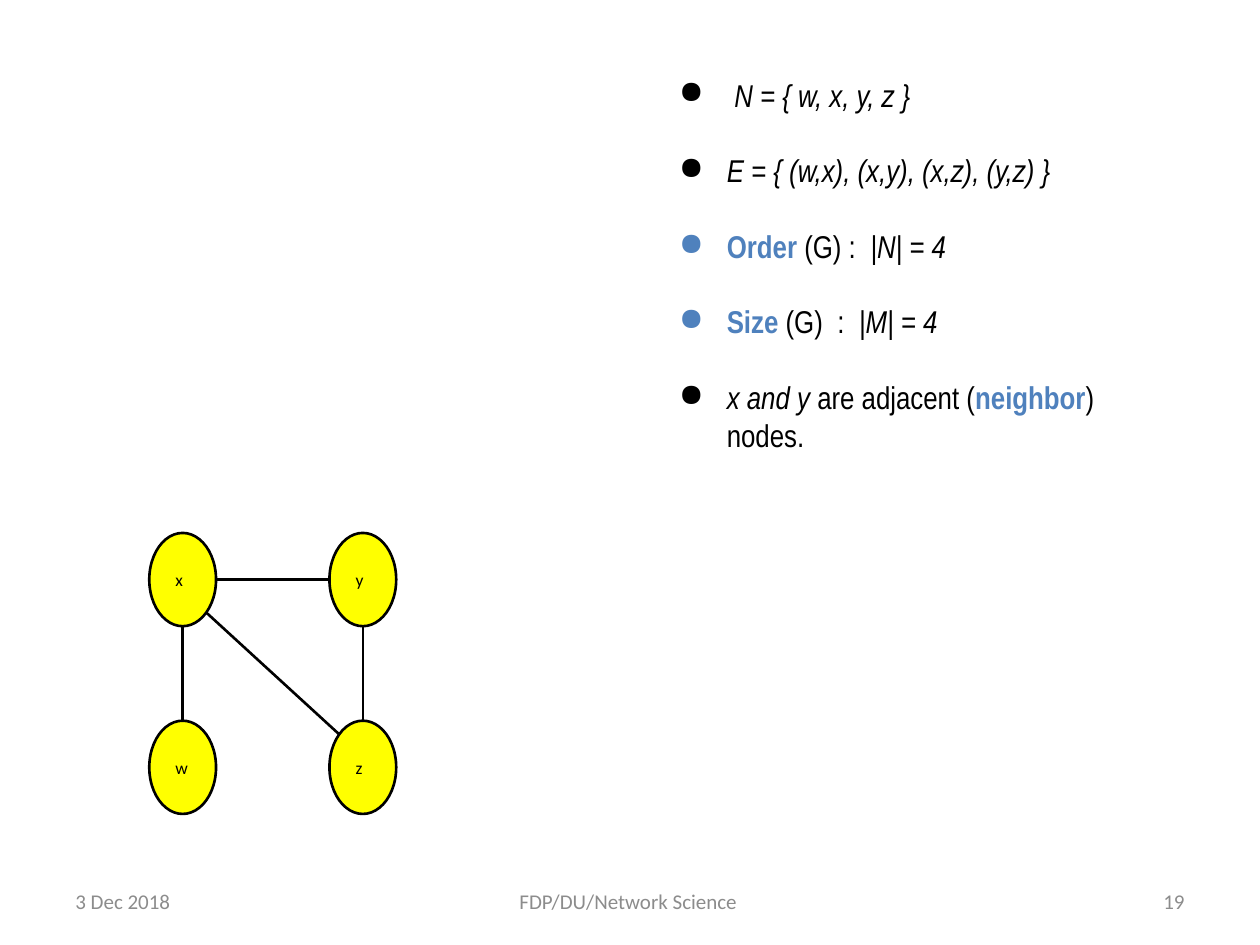
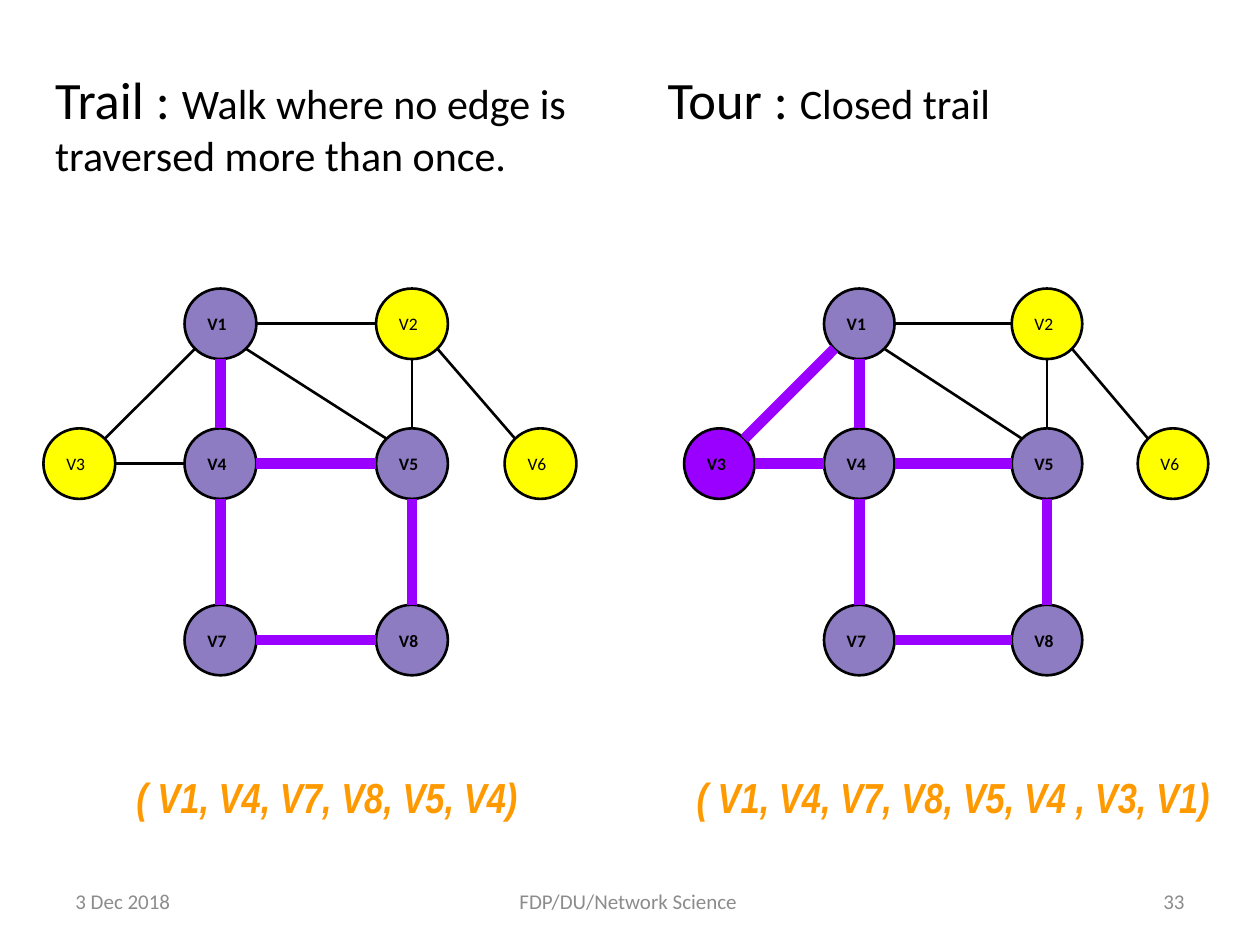
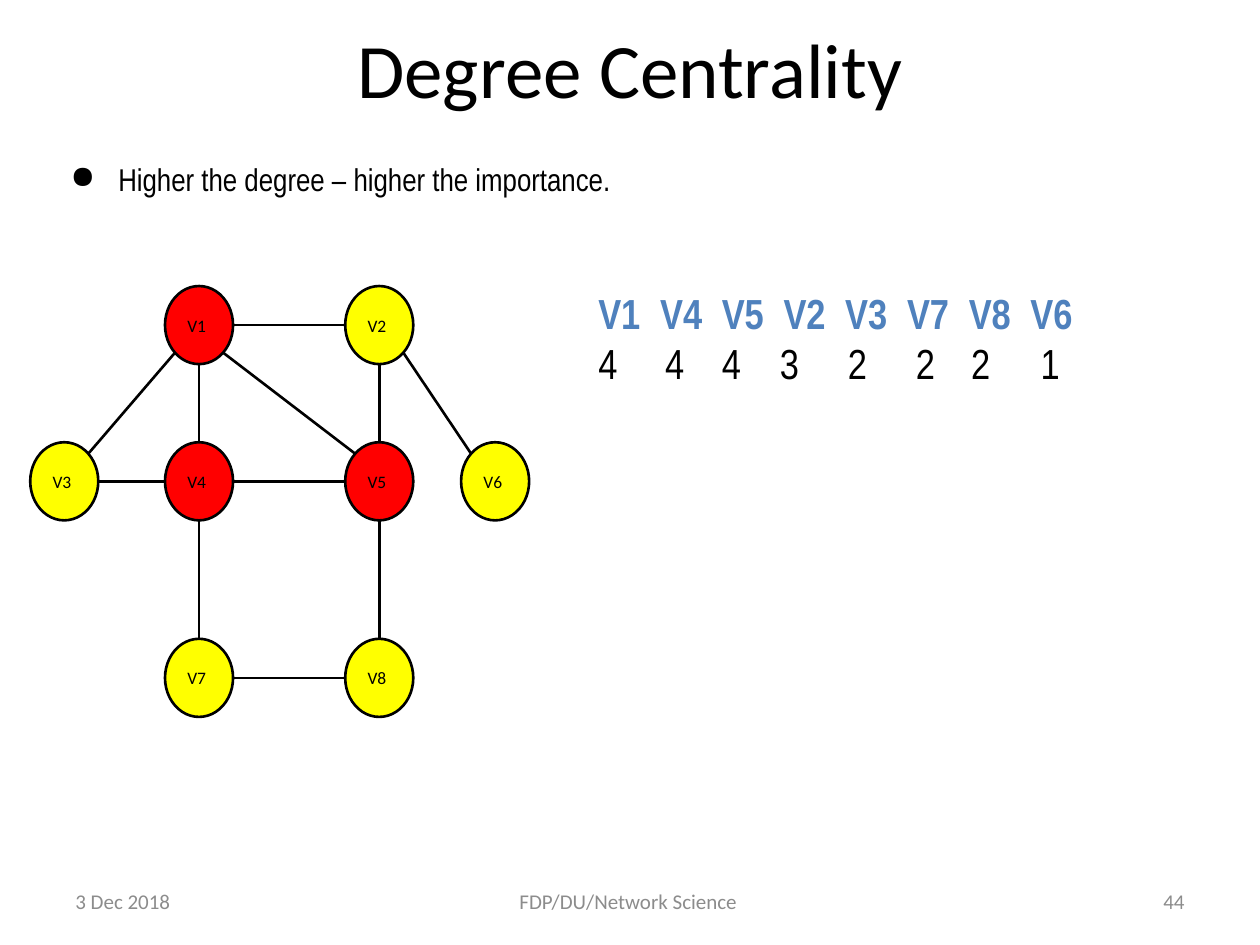
import math
import pptx
import pptx.dml.color
import pptx.enum.shapes
import pptx.enum.text
import pptx.oxml.ns
import pptx.util
from lxml import etree

Inches = pptx.util.Inches
WIDTH, HEIGHT = 10, 7.5
INSET = 0.1
COLORS = {"ink": "000000", "muted": "8C8C8C", "accent": "4F81BD", "answer": "FF9900",
          "plain": "FFFF00", "visited": "8E7CC3", "path": "9900FF", "top": "FF0000"}
ALIGN = {"left": pptx.enum.text.PP_ALIGN.LEFT, "center": pptx.enum.text.PP_ALIGN.CENTER,
         "right": pptx.enum.text.PP_ALIGN.RIGHT}

# Text styles: colour name plus font attributes
BODY = {"name": "Arial Narrow", "size": 18, "color": "ink"}
MATH = BODY | {"italic": True}
KEY = BODY | {"bold": True, "color": "accent"}
TITLE = {"name": "Calibri", "size": 44, "color": "ink"}
TERM = TITLE | {"size": 30}
MEANING = TITLE | {"size": 24}
LABEL = TITLE | {"size": 10}
FOOTER = TITLE | {"size": 12, "color": "muted"}
ANSWER = BODY | {"size": 24, "color": "answer", "bold": True, "italic": True}
RANKED = KEY | {"size": 24}
DEGREE = BODY | {"size": 24}

# Content
FACTS = [
    [("N = { w, x, y, z }", MATH)],
    [("E = { (w,x), (x,y), (x,z), (y,z) }", MATH)],
    [("Order ", KEY), ("(G) :  ", BODY), ("|N| = 4", MATH)],
    [("Size ", KEY), ("(G)  :  ", BODY), ("|M| = 4", MATH)],
    [("x and y ", MATH), ("are adjacent (", BODY), ("neighbor", KEY), (") nodes.", BODY)],
]
SMALL_NODES = {"x": (0, 0), "y": (1, 0), "w": (0, 1), "z": (1, 1)}
SMALL_EDGES = ["x y", "x w", "y z", "x z"]
NODES = {"V1": (1, 0), "V2": (2, 0), "V3": (0, 1), "V4": (1, 1), "V5": (2, 1),
         "V6": (3, 1), "V7": (1, 2), "V8": (2, 2)}
EDGES = ["V1 V2", "V1 V3", "V1 V4", "V1 V5", "V2 V5", "V2 V6", "V3 V4", "V4 V5",
         "V4 V7", "V5 V8", "V7 V8"]
WALKS = [
    {"term": "Trail : ", "meaning": "Walk where no edge is traversed more than once.",
     "answer": "( V1, V4, V7, V8, V5, V4)", "route": "V1 V4 V7 V8 V5 V4",
     "head_at": (0.34, 0.43, 4.56, 1.03), "answer_left": 0.35,
     "columns": (0.63, 1.75, 3.27, 4.29), "node_size": (0.57, 0.56)},
    {"term": "Tour : ", "meaning": "Closed trail",
     "answer": "( V1, V4, V7, V8, V5, V4 , V3, V1)", "route": "V1 V4 V7 V8 V5 V4 V3 V1",
     "head_at": (5.2, 0.43, 4.4, 1.25), "answer_left": 5.32,
     "columns": (5.71, 6.82, 8.31, 9.31), "node_size": (0.56, 0.56)},
]
DEGREES = {"V1": 4, "V4": 4, "V5": 4, "V2": 3, "V3": 2, "V7": 2, "V8": 2, "V6": 1}
NAME_STOPS = [0.49 * i for i in range(1, len(DEGREES))]
DEGREE_STOPS = (0.53, 0.98, 1.44, 1.98, 2.52, 2.96, 3.51)


def rgb(color):
    return pptx.dml.color.RGBColor.from_string(COLORS[color])


def add_runs(paragraph, runs):
    for words, style in runs:
        run = paragraph.add_run()
        run.text = words
        for attribute, value in style.items():
            if attribute == "color":
                run.font.color.rgb = rgb(value)
            else:
                setattr(run.font, attribute, pptx.util.Pt(value) if attribute == "size" else value)


def add_text(slide, at, paragraphs, align="left", anchor="TOP", inset_y=INSET):
    frame = slide.shapes.add_textbox(*map(Inches, at)).text_frame
    settings = {"word_wrap": True, "margin_left": Inches(INSET), "margin_right": Inches(INSET),
                "margin_top": Inches(inset_y), "margin_bottom": Inches(inset_y),
                "vertical_anchor": pptx.enum.text.MSO_ANCHOR[anchor]}
    for attribute, value in settings.items():
        setattr(frame, attribute, value)
    for i, runs in enumerate(paragraphs):
        paragraph = frame.add_paragraph() if i else frame.paragraphs[0]
        paragraph.alignment = ALIGN[align]
        add_runs(paragraph, runs)
    return frame


def add_bullets(slide, at, items, first_margin=0.5):
    frame = add_text(slide, at, items)
    for i, paragraph in enumerate(frame.paragraphs):
        margin = 0.5 if i else first_margin
        properties = paragraph._p.get_or_add_pPr()
        properties.set("marL", str(Inches(margin)))
        properties.set("indent", str(Inches(0.12 - margin)))
        etree.SubElement(properties, pptx.oxml.ns.qn("a:buChar"), char="●")
        if i:
            paragraph.space_before = pptx.util.Pt(21.6)


def add_tabs(paragraph, stops):
    tabs = etree.SubElement(paragraph._p.get_or_add_pPr(), pptx.oxml.ns.qn("a:tabLst"))
    for stop in stops:
        etree.SubElement(tabs, pptx.oxml.ns.qn("a:tab"), pos=str(Inches(stop)), algn="l")


def add_node(slide, label, center, size, fill, bold, label_inset):
    left, top = (c - s / 2 for c, s in zip(center, size))
    node = slide.shapes.add_shape(pptx.enum.shapes.MSO_SHAPE.OVAL,
                                  *map(Inches, (left, top, *size)))
    node.shadow.inherit = False
    node.fill.solid()
    node.fill.fore_color.rgb = rgb(fill)
    node.line.color.rgb = rgb("ink")
    node.line.width = pptx.util.Pt(1.5)
    frame = node.text_frame
    for side in ("left", "right", "top", "bottom"):
        setattr(frame, f"margin_{side}", Inches(INSET))
    frame.margin_left = Inches(label_inset)
    frame.vertical_anchor = pptx.enum.text.MSO_ANCHOR.MIDDLE
    frame.paragraphs[0].alignment = ALIGN["left"]
    add_runs(frame.paragraphs[0], [(label, LABEL | {"bold": bold})])


def rim_point(center, toward, size):
    """Point on a node's rim, at the nearest of its eight compass directions."""
    signs = [(b > a) - (b < a) for a, b in zip(center, toward)]
    reach = 0.5 / math.hypot(*signs)
    return [c + sign * reach * s for c, sign, s in zip(center, signs, size)]


def add_edge(slide, start, end, size, color, width):
    ends = rim_point(start, end, size) + rim_point(end, start, size)
    edge = slide.shapes.add_connector(pptx.enum.shapes.MSO_CONNECTOR.STRAIGHT,
                                      *map(Inches, ends))
    edge.line.color.rgb = rgb(color)
    edge.line.width = pptx.util.Pt(width)
    etree.SubElement(edge._element.spPr, pptx.oxml.ns.qn("a:effectLst"))


def add_graph(slide, nodes, edges, columns, rows, size, fills=None, route="",
              bold_filled=False, label_inset=INSET):
    fills = fills or {}
    centers = {name: (columns[c], rows[r]) for name, (c, r) in nodes.items()}
    stops = route.split()
    walked = {frozenset(step) for step in zip(stops, stops[1:])}
    for name, center in centers.items():
        add_node(slide, name, center, size, fills.get(name, "plain"),
                 bold_filled and name in fills, label_inset)
    for pair in edges:
        a, b = pair.split()
        color, width = ("path", 6) if {a, b} in walked else ("ink", 1.5)
        add_edge(slide, centers[a], centers[b], size, color, width)


def add_footer(slide, number):
    parts = [(0.5, 2.33, "3 Dec 2018", "left"),
             (3.42, 3.17, "FDP/DU/Network Science ", "center"),
             (7.17, 2.33, str(number), "right")]
    for left, width, words, align in parts:
        add_text(slide, (left, 6.95, width, 0.4), [[(words, FOOTER)]], align, "MIDDLE", 0.05)


def build_definitions(slide):
    add_graph(slide, SMALL_NODES, SMALL_EDGES, (1.45, 2.88), (4.6, 6.09), (0.53, 0.74),
              label_inset=0.13)
    add_bullets(slide, (5.17, 0.5, 4, 3.73), FACTS, first_margin=0.56)


def build_walks(slide):
    for walk in WALKS:
        fills = {name: "visited" for name in walk["route"].split()}
        if "V3" in fills:
            fills["V3"] = "path"
        add_graph(slide, NODES, EDGES, walk["columns"], (2.57, 3.68, 5.08), walk["node_size"],
                  fills, walk["route"], bold_filled=True)
        add_text(slide, walk["head_at"], [[(walk["term"], TERM), (walk["meaning"], MEANING)]])
        add_text(slide, (walk["answer_left"], 6.02, 4.49, 0.84),
                 [[(walk["answer"], ANSWER)]], "center")


def build_centrality(slide):
    add_text(slide, (0.34, 0.07, WIDTH - 2 * 0.34, 1.03),
             [[("Degree Centrality", TITLE)]], "center")
    add_bullets(slide, (0.34, 1.17, 5.78, 0.5),
                [[("Higher the degree – higher the importance.", BODY)]])
    highest = max(DEGREES.values())
    fills = {name: "top" for name, degree in DEGREES.items() if degree == highest}
    add_graph(slide, NODES, EDGES, (0.51, 1.58, 3.01, 3.93), (2.58, 3.82, 5.38),
              (0.54, 0.62), fills)
    ranking = add_text(slide, (4.65, 2.18, 4.79, 1.34),
                       [[("\t".join(DEGREES), RANKED)],
                        [("\t".join(map(str, DEGREES.values())), DEGREE)]])
    for paragraph, stops in zip(ranking.paragraphs, (NAME_STOPS, DEGREE_STOPS)):
        add_tabs(paragraph, stops)


def main():
    deck = pptx.Presentation()
    deck.slide_width, deck.slide_height = Inches(WIDTH), Inches(HEIGHT)
    blank = deck.slide_layouts[6]
    for build, number in ((build_definitions, 19), (build_walks, 33), (build_centrality, 44)):
        slide = deck.slides.add_slide(blank)
        build(slide)
        add_footer(slide, number)
    deck.save("out.pptx")


if __name__ == "__main__":
    main()
